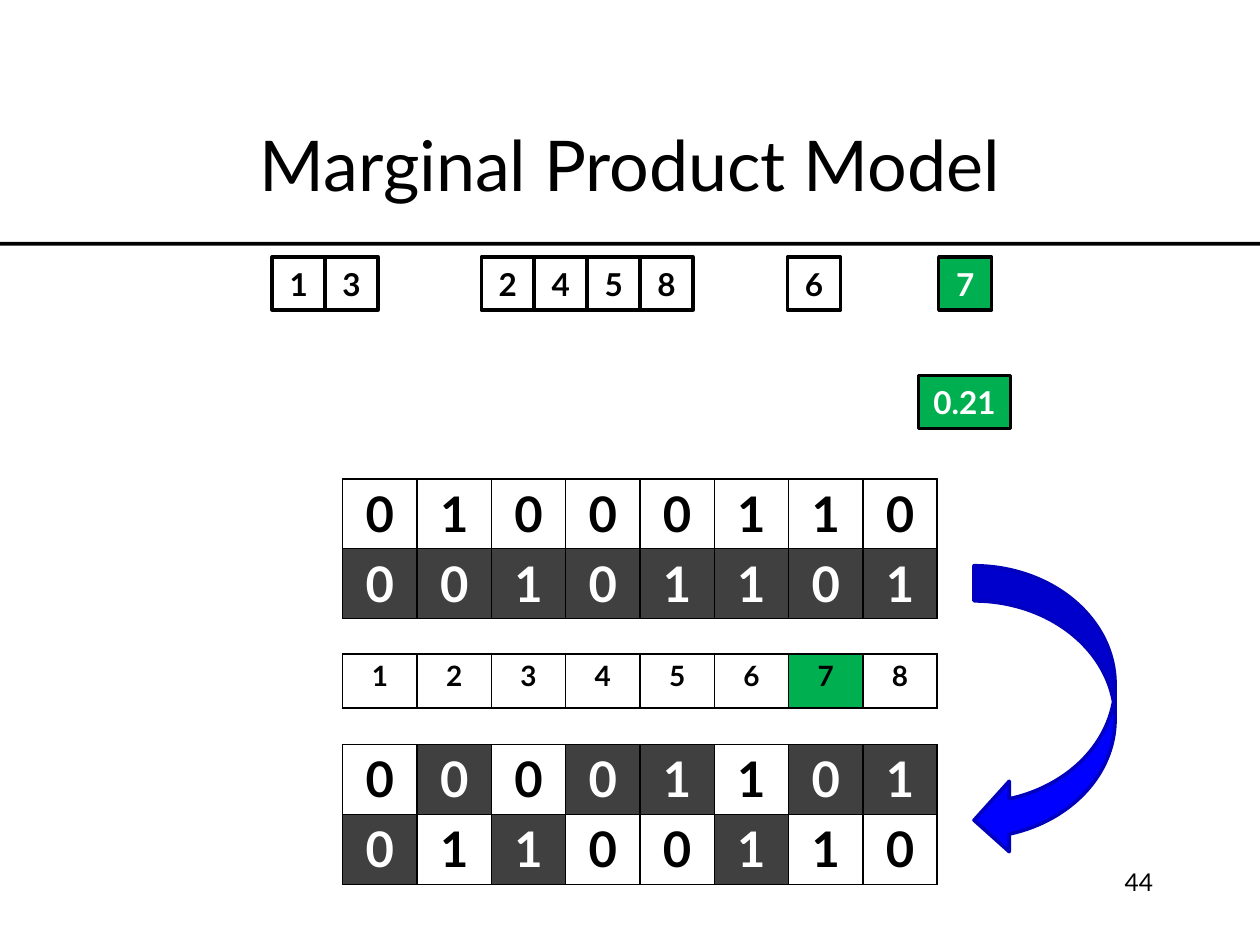
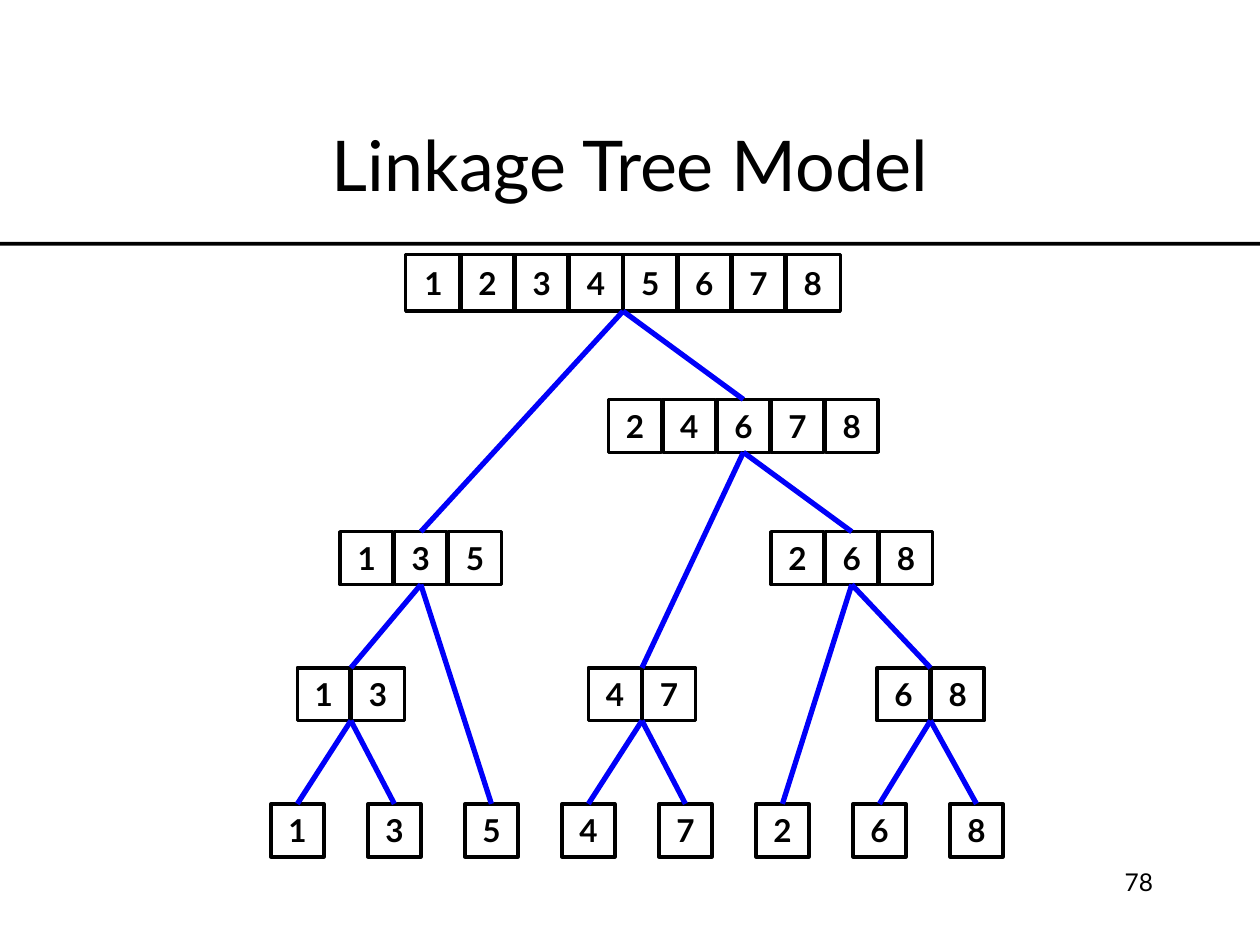
from lxml import etree
from pptx import Presentation
from pptx.dml.color import RGBColor
from pptx.enum.shapes import MSO_CONNECTOR, MSO_SHAPE
from pptx.enum.text import MSO_ANCHOR, PP_ALIGN
from pptx.oxml.ns import qn
from pptx.util import Inches, Pt

BLACK = RGBColor(0, 0, 0)
WHITE = RGBColor(255, 255, 255)
GREEN = RGBColor(0x00, 0xB0, 0x50)
DARK = RGBColor(0x40, 0x40, 0x40)
BLUE = RGBColor(0x00, 0x00, 0xFF)
NAVY = RGBColor(0x00, 0x00, 0xBD)
LINK = RGBColor(0x00, 0x00, 0xF9)
FONT = "Lato"
RECT = MSO_SHAPE.RECTANGLE
ARROW = MSO_SHAPE.CURVED_LEFT_ARROW
LINE = MSO_CONNECTOR.STRAIGHT
CENTER, RIGHT = PP_ALIGN.CENTER, PP_ALIGN.RIGHT
TOP, MIDDLE = MSO_ANCHOR.TOP, MSO_ANCHOR.MIDDLE

SIDE = 0.42
GROUPS = [("13", 2.16), ("2458", 3.82), ("6", 6.25), ("7", 7.45)]
PICKED = "7"
SCORE = "0.21"

TABLE_X, COL = 2.72, 0.59
GENES = "12345678"
PARENTS = ["01000110", "00101101"]
CHILDREN = ["00001101", "01100110"]
PARENT_FILLS = ["wwwwwwww", "dddddddd"]
CHILD_FILLS = ["wdwddwdd", "dwdwwdww"]
FILLS = {
    "w": (WHITE, BLACK),
    "d": (DARK, WHITE),
    "g": (GREEN, BLACK),
}

STEP = 0.43
BRANCHES = {
    "12345678": (3.22, 2.02, 0.44, 0.45),
    "24678": (4.83, 3.17, SIDE, SIDE),
    "135": (2.7, 4.22, SIDE, SIDE),
    "268": (6.12, 4.22, SIDE, SIDE),
    "13": (2.36, 5.3, SIDE, SIDE),
    "47": (4.67, 5.3, SIDE, SIDE),
    "68": (6.96, 5.3, SIDE, SIDE),
}
LEAVES = "13547268"
LEAF_X, LEAF_Y, LEAF_STEP = 2.15, 6.38, 0.77


def style(para, size, color, align, bold=False):
    para.alignment = align
    font = para.font
    font.name, font.size, font.bold = FONT, Pt(size), bold
    font.color.rgb = color


def add_text(slide, text, area, size, align, anchor):
    frame = slide.shapes.add_textbox(*map(Inches, area)).text_frame
    frame.word_wrap = True
    frame.vertical_anchor = anchor
    frame.text = text
    style(frame.paragraphs[0], size, BLACK, align)


def add_shape(slide, kind, area, fill, line=None):
    shape = slide.shapes.add_shape(kind, *map(Inches, area))
    shape.shadow.inherit = False
    if fill is None:
        shape.fill.background()
    else:
        shape.fill.solid()
        shape.fill.fore_color.rgb = fill
    if line is None:
        shape.line.fill.background()
    else:
        shape.line.color.rgb = line
        shape.line.width = Pt(2)
    return shape


def add_box(slide, text, area, fill=None):
    frame = add_shape(slide, RECT, area, fill, BLACK).text_frame
    frame.margin_left = frame.margin_right = 0
    frame.vertical_anchor = MIDDLE
    frame.text = text
    style(frame.paragraphs[0], 18, WHITE if fill else BLACK, CENTER, True)


def add_row(slide, digits, x, y, step, wide, high, fill=None):
    for i, digit in enumerate(digits):
        add_box(slide, digit, (x + i * step, y, wide, high), fill)


def add_link(slide, start, end):
    link = slide.shapes.add_connector(LINE, *map(Inches, start + end))
    link.line.color.rgb = LINK
    link.line.width = Pt(3)
    etree.SubElement(link._element.spPr, qn("a:effectLst"))


def add_border(cell):
    props = cell._tc.get_or_add_tcPr()
    for side in ("a:lnL", "a:lnR", "a:lnT", "a:lnB"):
        edge = etree.SubElement(props, qn(side), w=str(Pt(1)))
        solid = etree.SubElement(edge, qn("a:solidFill"))
        etree.SubElement(solid, qn("a:srgbClr"), val=str(BLACK))


def add_grid(slide, rows, fills, y, high, size):
    count = len(rows[0])
    area = (TABLE_X, y, COL * count, high * len(rows))
    table = slide.shapes.add_table(
        len(rows), count, *map(Inches, area)).table
    table.first_row = table.horz_banding = False
    for r, (digits, marks) in enumerate(zip(rows, fills)):
        table.rows[r].height = Inches(high)
        for c, (digit, mark) in enumerate(zip(digits, marks)):
            cell = table.cell(r, c)
            fill, color = FILLS[mark]
            add_border(cell)
            cell.fill.solid()
            cell.fill.fore_color.rgb = fill
            cell.margin_left = cell.margin_right = Inches(0.09)
            cell.margin_top = cell.margin_bottom = Inches(0.04)
            cell.text = digit
            style(cell.text_frame.paragraphs[0], size, color, CENTER, True)


def add_slide(deck, title, number):
    slide = deck.slides.add_slide(deck.slide_layouts[6])
    add_shape(slide, RECT, (0, 1.92, 10, 0.03), BLACK)
    add_text(slide, title, (0.75, 0.67, 8.5, 1.25), 40, CENTER, MIDDLE)
    add_text(slide, number, (7.17, 6.83, 2.08, 0.5), 14, RIGHT, TOP)
    return slide


def draw_product(deck):
    slide = add_slide(deck, "Marginal Product Model", "44")
    for digits, x in GROUPS:
        fill = GREEN if digits == PICKED else None
        add_row(slide, digits, x, 2.04, SIDE, SIDE, SIDE, fill)
    add_grid(slide, PARENTS, PARENT_FILLS, 3.8, 0.555, 28)
    add_shape(slide, ARROW, (7.73, 4.49, 1.12, 2.3), BLUE, NAVY)
    add_grid(slide, CHILDREN, CHILD_FILLS, 5.91, 0.555, 28)
    marks = ["g" if gene == PICKED else "w" for gene in GENES]
    add_grid(slide, [GENES], [marks], 5.19, 0.43, 16)
    add_box(slide, SCORE, (7.29, 2.98, 0.73, SIDE), GREEN)


def draw_tree(deck):
    slide = add_slide(deck, "Linkage Tree Model", "78")
    nodes = dict(BRANCHES)
    for i, leaf in enumerate(LEAVES):
        nodes[leaf] = (LEAF_X + i * LEAF_STEP, LEAF_Y, SIDE, SIDE)
    tops, ends = {}, {}
    for digits, (x, y, wide, high) in nodes.items():
        add_row(slide, digits, x, y, STEP, wide, high)
        mid = x + (STEP * (len(digits) - 1) + wide) / 2
        tops[digits], ends[digits] = (mid, y), (mid, y + high)
    for digits in nodes:
        above = [key for key in nodes if set(digits) < set(key)]
        if above:
            add_link(slide, tops[digits], ends[min(above, key=len)])


def main():
    deck = Presentation()
    deck.slide_width, deck.slide_height = Inches(10), Inches(7.5)
    draw_product(deck)
    draw_tree(deck)
    deck.save("out.pptx")


if __name__ == "__main__":
    main()
